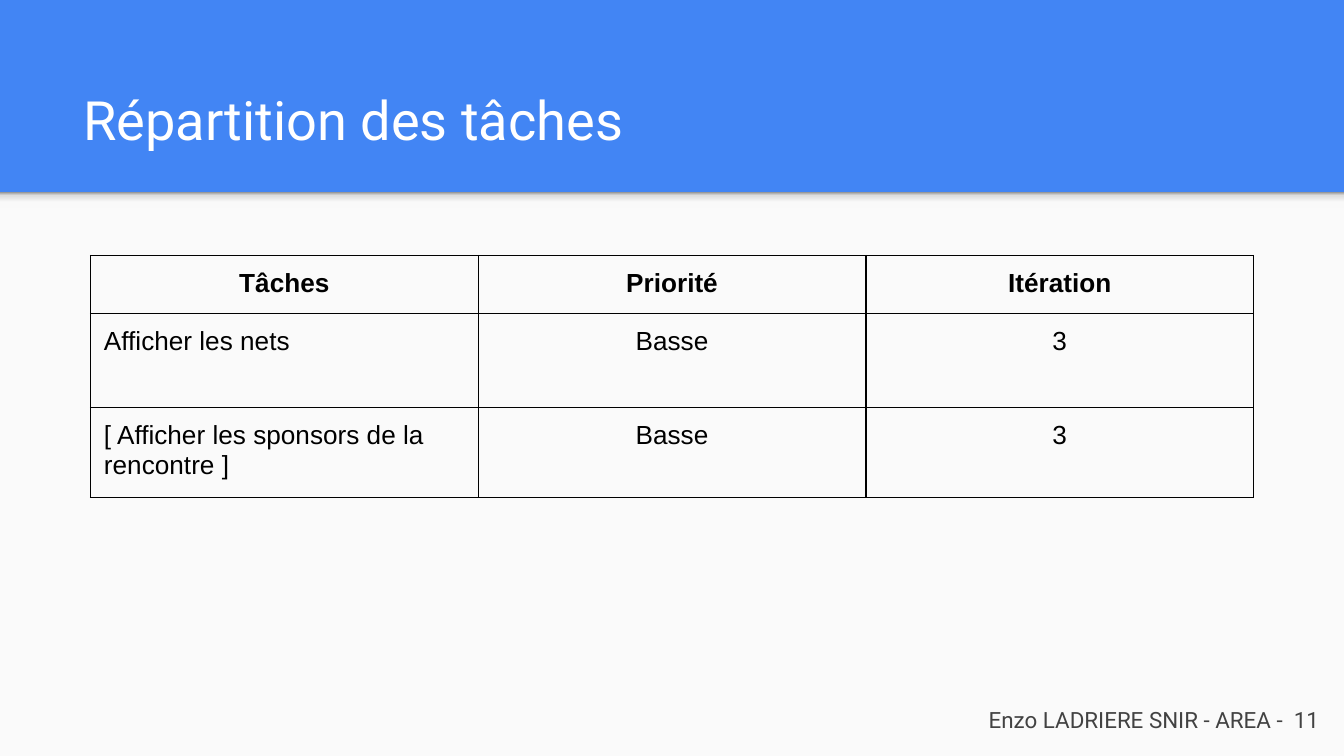
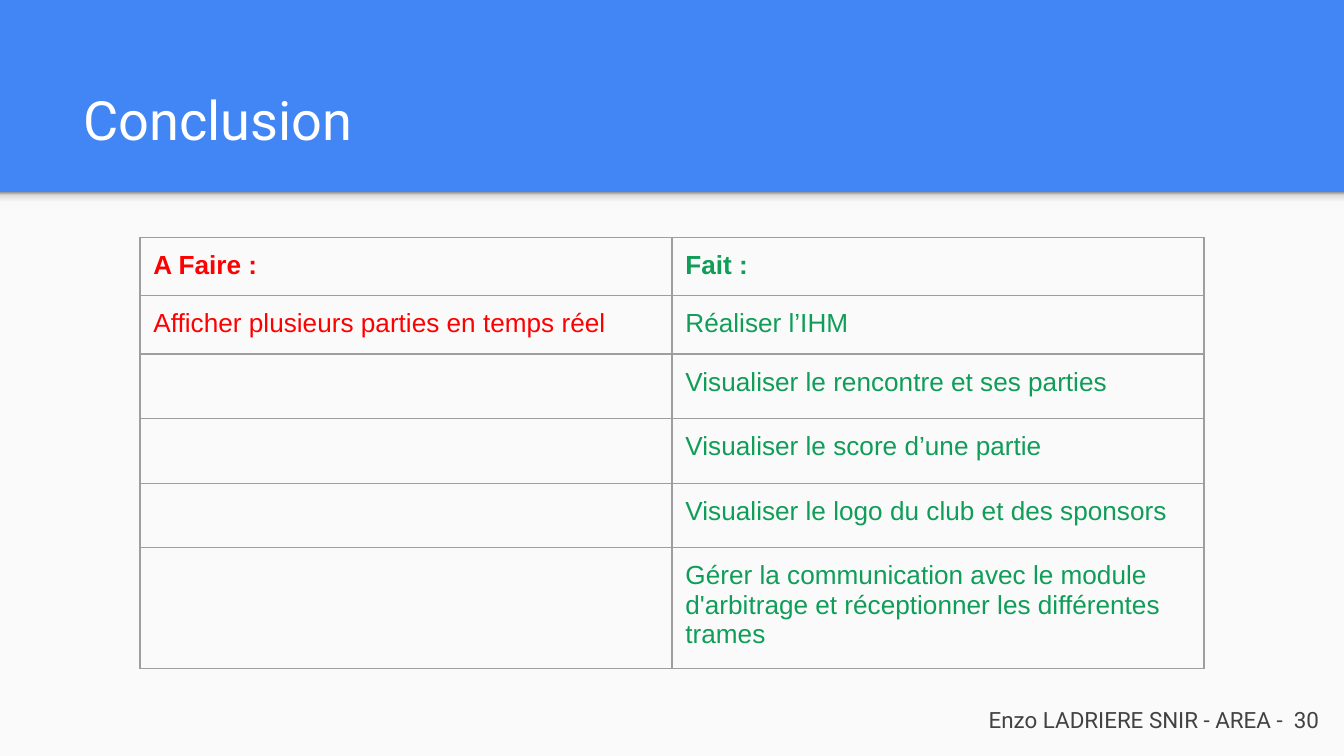
from lxml import etree
from pptx import Presentation
from pptx.dml.color import RGBColor
from pptx.enum import shapes, text
from pptx.oxml import ns
from pptx.util import Pt

BLUE = RGBColor(0x42, 0x85, 0xF4)
PAPER = RGBColor(0xFA, 0xFA, 0xFA)
WHITE = RGBColor(0xFF, 0xFF, 0xFF)
BLACK = RGBColor(0, 0, 0)
SLATE = RGBColor(0x42, 0x42, 0x42)
GREY = RGBColor(0x9E, 0x9E, 0x9E)
RED = RGBColor(0xFF, 0, 0)
GREEN = RGBColor(0x0F, 0x9D, 0x58)
SHADE_STOPS = (
    (0, RGBColor(0xF9, 0xF9, 0xF9)),
    (36, RGBColor(0xF9, 0xF9, 0xF9)),
    (80, RGBColor(0xDE, 0xDE, 0xDE)),
    (100, RGBColor(0x99, 0x99, 0x99)),
)
TITLE_FONT, TABLE_FONT = "Roboto", "Arial"
WIDTH, HEIGHT = 720, 405
BAND_HEIGHT = 103
INSET = Pt(7.2)
TITLE_BOX = (37.5, 28, 647, 60.5)
FOOTER_BOX = (417, 370, 297, 31)
LEFT, CENTER, RIGHT = text.PP_ALIGN.LEFT, text.PP_ALIGN.CENTER, text.PP_ALIGN.RIGHT

TASKS = (
    ("Tâches", "Priorité", "Itération"),
    ("Afficher les nets", "Basse", "3"),
    ("[ Afficher les sponsors de la rencontre ]", "Basse", "3"),
)
RESULTS = (
    ("A Faire :", "Fait :"),
    ("Afficher plusieurs parties en temps réel", "Réaliser l’IHM"),
    ("", "Visualiser le rencontre et ses parties"),
    ("", "Visualiser le score d’une partie"),
    ("", "Visualiser le logo du club et des sponsors"),
    ("", "Gérer la communication avec le module d'arbitrage et réceptionner les différentes trames"),
)


def add_element(parent, tag, **attributes):
    """Append a drawing element with its attributes."""
    return etree.SubElement(parent, ns.qn(tag), {k: str(v) for k, v in attributes.items()})


def style_para(para, size, font, color, align, bold=False):
    """Align a paragraph and format its runs."""
    para.alignment = align
    for span in para.runs:
        span.font.size, span.font.name, span.font.bold = Pt(size), font, bold
        span.font.color.rgb = color


def add_rectangle(page, box):
    """Add a rectangle without outline or shadow."""
    shape = page.shapes.add_shape(shapes.MSO_SHAPE.RECTANGLE, *map(Pt, box))
    shape.shadow.inherit = False
    shape.line.fill.background()
    return shape


def add_text(page, box, content, size, color, align, anchor):
    """Add a line of text in a wrapped box."""
    frame = page.shapes.add_textbox(*map(Pt, box)).text_frame
    frame.word_wrap = True
    frame.vertical_anchor = anchor
    frame.margin_left = frame.margin_right = frame.margin_top = frame.margin_bottom = INSET
    frame.text = content
    style_para(frame.paragraphs[0], size, TITLE_FONT, color, align)


def add_shade(page, box):
    """Add the gradient that fades below the title band."""
    shade = add_rectangle(page, box)
    shade.fill.gradient()
    shade.fill.gradient_angle = 90
    stops = shade.fill.gradient_stops
    stop_list = shade.element.spPr.find(".//" + ns.qn("a:gsLst"))
    for stop in list(stop_list)[:len(stops)]:
        stop_list.remove(stop)
    for percent, color in SHADE_STOPS:
        add_element(add_element(stop_list, "a:gs", pos=percent * 1000), "a:srgbClr", val=color)


def add_page(deck, title, number):
    """Add a page with its band, title and footer."""
    page = deck.slides.add_slide(deck.slide_layouts[6])
    sheet = add_rectangle(page, (0, BAND_HEIGHT + 1.4, WIDTH, HEIGHT - BAND_HEIGHT - 1.4))
    sheet.fill.solid()
    sheet.fill.fore_color.rgb = PAPER
    add_shade(page, (0, BAND_HEIGHT, WIDTH, 8.6))
    add_text(page, TITLE_BOX, title, 29, WHITE, LEFT, text.MSO_ANCHOR.BOTTOM)
    add_text(page, FOOTER_BOX, f"Enzo LADRIERE SNIR - AREA -  {number}", 12, SLATE, RIGHT,
             text.MSO_ANCHOR.MIDDLE)
    return page


def style_cell(cell, content, color, align, bold, border):
    """Fill in a transparent, bordered cell."""
    cell.margin_left = cell.margin_right = cell.margin_top = cell.margin_bottom = INSET
    cell.text = content
    para = cell.text_frame.paragraphs[0]
    style_para(para, 14, TABLE_FONT, color, align, bold)
    if not content:
        add_element(para._p, "a:endParaRPr", sz=1400)
    properties = cell._tc.get_or_add_tcPr()
    for side in ("a:lnL", "a:lnR", "a:lnT", "a:lnB"):
        line = add_element(properties, side, w=int(Pt(0.75)))
        add_element(add_element(line, "a:solidFill"), "a:srgbClr", val=border)
    cell.fill.background()


def add_grid(page, origin, column_width, heights, rows, border, colors, header_aligns, aligns):
    """Add a table of equal columns with a bold first row."""
    count = len(rows[0])
    box = (*origin, column_width * count, sum(heights))
    table = page.shapes.add_table(len(rows), count, *map(Pt, box)).table
    table.first_row = table.horz_banding = False
    for column in table.columns:
        column.width = Pt(column_width)
    for i, (row, height) in enumerate(zip(rows, heights)):
        table.rows[i].height = Pt(height)
        for j, content in enumerate(row):
            align = aligns[j] if i else header_aligns[j]
            style_cell(table.cell(i, j), content, colors[j], align, i == 0, border)


def main():
    """Build and save the deck."""
    deck = Presentation()
    deck.slide_width, deck.slide_height = Pt(WIDTH), Pt(HEIGHT)
    background = deck.slide_master.background.fill
    background.solid()
    background.fore_color.rgb = BLUE

    page = add_page(deck, "Répartition des tâches", 11)
    add_grid(page, (48.5, 136.8), 207.7, (30, 50.4, 45.5), TASKS, BLACK,
             (BLACK,) * 3, (CENTER,) * 3, (LEFT, CENTER, CENTER))

    page = add_page(deck, "Conclusion", 30)
    add_grid(page, (75, 127.2), 285, (30, 30, 34.6, 34.6, 34.6, 61.6), RESULTS, GREY,
             (RED, GREEN), (LEFT,) * 2, (LEFT,) * 2)
    deck.save("out.pptx")


if __name__ == "__main__":
    main()
